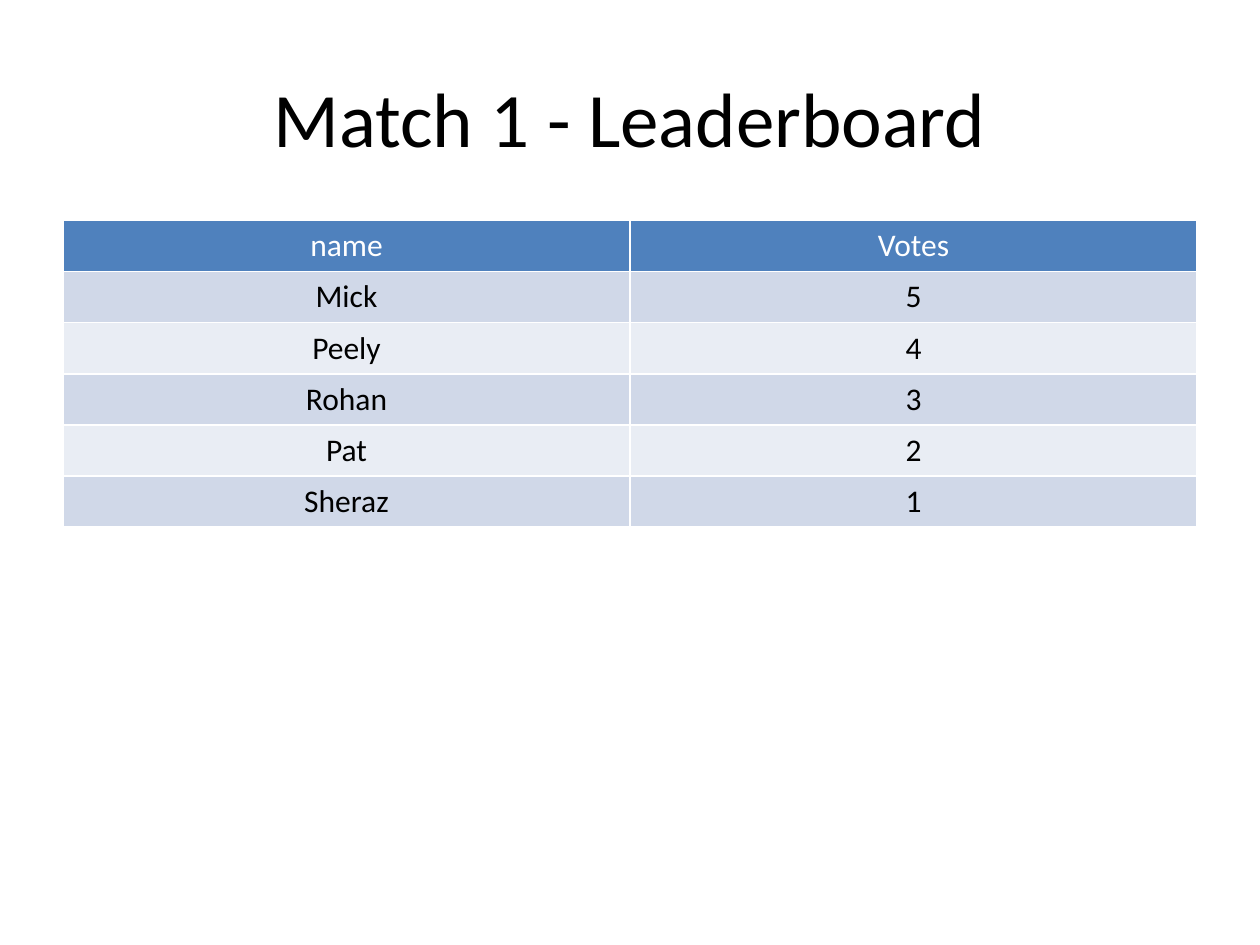
from pptx import Presentation
from pptx.dml.color import RGBColor
from pptx.enum.text import MSO_ANCHOR, PP_ALIGN
from pptx.util import Inches, Pt

TITLE = "Match 1 - Leaderboard"
LEADERBOARD = [
    ("name", "Votes"),
    ("Mick", "5"),
    ("Peely", "4"),
    ("Rohan", "3"),
    ("Pat", "2"),
    ("Sheraz", "1"),
]
HEADER_FILL = "4F81BD"
BAND_FILLS = ("E9EDF4", "D0D8E8")
MARGIN = 0.5
ROW_HEIGHT = 0.4


def color(value):
    return RGBColor.from_string(value)


def format_text(text_frame, size, text_color):
    for paragraph in text_frame.paragraphs:
        paragraph.alignment = PP_ALIGN.CENTER
        for run in paragraph.runs:
            run.font.name = "Calibri"
            run.font.size = Pt(size)
            run.font.bold = False
            run.font.color.rgb = color(text_color)


def add_title(slide, width):
    title = slide.shapes.title
    title.left, title.top = Inches(MARGIN), Inches(0.3)
    title.width, title.height = width, Inches(1.25)
    title.text_frame.text = TITLE
    title.text_frame.vertical_anchor = MSO_ANCHOR.MIDDLE
    format_text(title.text_frame, 44, "000000")


def add_leaderboard(slide, width):
    row_count = len(LEADERBOARD)
    table = slide.shapes.add_table(
        row_count, len(LEADERBOARD[0]), Inches(MARGIN), Inches(1.75),
        width, Inches(ROW_HEIGHT * row_count),
    ).table
    for row, values in enumerate(LEADERBOARD):
        fill = BAND_FILLS[row % 2] if row else HEADER_FILL
        for column, value in enumerate(values):
            cell = table.cell(row, column)
            cell.text_frame.text = value
            cell.fill.solid()
            cell.fill.fore_color.rgb = color(fill)
            format_text(cell.text_frame, 18, "000000" if row else "FFFFFF")


def main():
    presentation = Presentation()
    presentation.slide_width = Inches(10)
    presentation.slide_height = Inches(7.5)
    slide = presentation.slides.add_slide(presentation.slide_layouts[5])
    content_width = presentation.slide_width - 2 * Inches(MARGIN)
    add_title(slide, content_width)
    add_leaderboard(slide, content_width)
    presentation.save("out.pptx")


if __name__ == "__main__":
    main()
